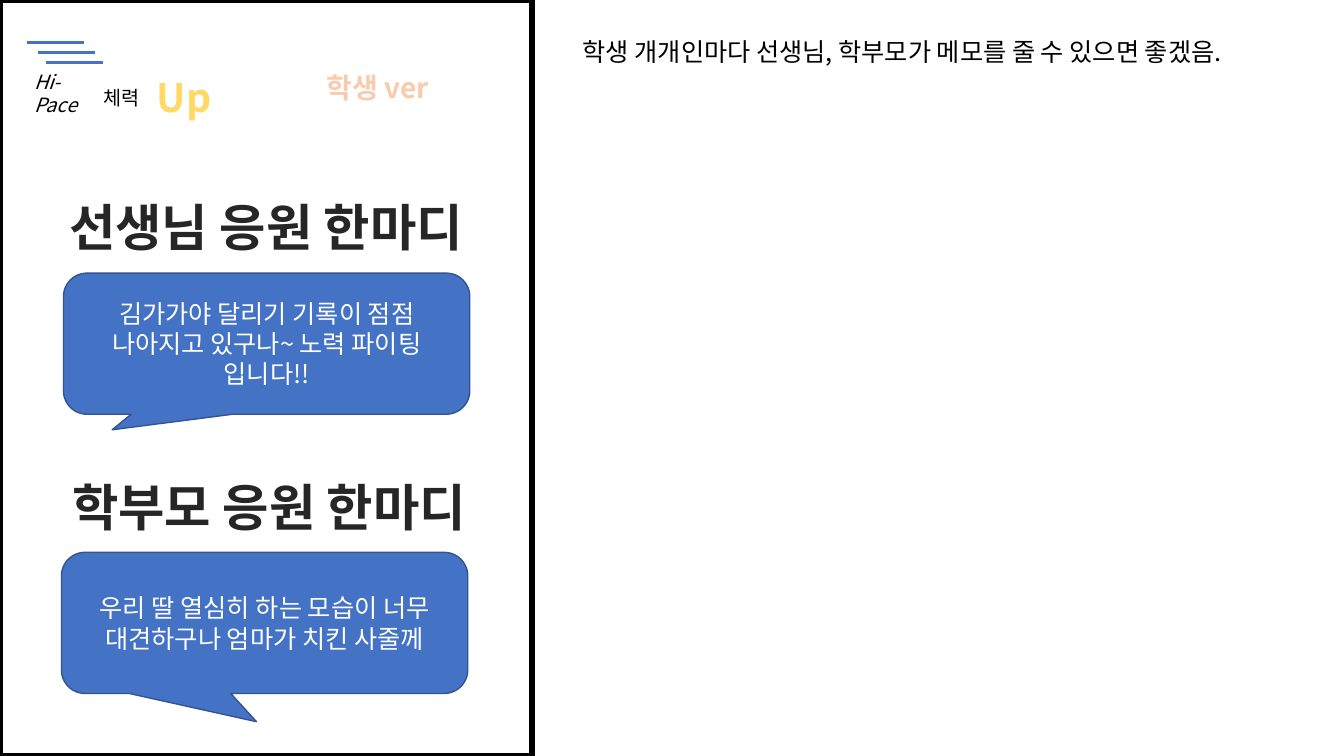
import lxml.etree
import pptx
import pptx.dml.color
import pptx.enum.shapes
import pptx.enum.text
import pptx.oxml.ns
import pptx.util

Inches = pptx.util.Inches
Pt = pptx.util.Pt
RGBColor = pptx.dml.color.RGBColor
Align = pptx.enum.text.PP_ALIGN
Shape = pptx.enum.shapes.MSO_SHAPE
qn = pptx.oxml.ns.qn

WHITE = RGBColor(0xFF, 0xFF, 0xFF)
BLACK = RGBColor(0, 0, 0)
CHARCOAL = RGBColor(0x26, 0x26, 0x26)
BLUE = RGBColor(0x44, 0x72, 0xC4)
NAVY = RGBColor(0x32, 0x54, 0x91)
PEACH = RGBColor(0xF8, 0xCB, 0xAD)
GOLD = RGBColor(0xFF, 0xD9, 0x66)


class Painter:
    """Draws styled elements on the current slide."""

    font_name = "Noto Sans CJK KR"

    def __init__(self, page):
        self.page = page

    def fill_text(self, frame, words, size, color, align=Align.CENTER, bold=False, italic=False):
        para = frame.paragraphs[0]
        para.text = words
        para.alignment = align
        font = para.font
        font.size = Pt(size)
        font.bold = bold
        font.italic = italic
        font.color.rgb = color
        font.name = self.font_name
        properties = para._p.pPr.find(qn("a:defRPr"))
        lxml.etree.SubElement(properties, qn("a:ea")).set("typeface", self.font_name)

    def text(self, words, left, top, width, height, size, color=BLACK, wrap=True, **style):
        box = self.page.shapes.add_textbox(Inches(left), Inches(top), Inches(width), Inches(height))
        box.text_frame.word_wrap = wrap
        self.fill_text(box.text_frame, words, size, color, **style)

    def shape(self, kind, left, top, width, height, fill, line, weight):
        shape = self.page.shapes.add_shape(
            kind, Inches(left), Inches(top), Inches(width), Inches(height))
        shape.shadow.inherit = False
        shape.fill.solid()
        shape.fill.fore_color.rgb = fill
        shape.line.color.rgb = line
        shape.line.width = Pt(weight)
        return shape

    def bubble(self, words, left, top, tail):
        bubble = self.shape(Shape.ROUNDED_RECTANGULAR_CALLOUT, left, top, 4.03, 1.4, BLUE, NAVY, 1)
        bubble.adjustments[0], bubble.adjustments[1] = tail
        bubble.text_frame.vertical_anchor = pptx.enum.text.MSO_ANCHOR.MIDDLE
        bubble.text_frame.word_wrap = True
        self.fill_text(bubble.text_frame, words, 18, WHITE)

    def heading(self, words, left, top):
        self.text(words, left, top, 4.6, 0.71, 36, CHARCOAL, wrap=False, bold=True)

    def stripe(self, left, top):
        stripe = self.page.shapes.add_connector(
            pptx.enum.shapes.MSO_CONNECTOR.STRAIGHT,
            Inches(left), Inches(top), Inches(left + 0.56), Inches(top))
        stripe.line.color.rgb = BLUE
        stripe.line.width = Pt(2)
        lxml.etree.SubElement(stripe._element.spPr, qn("a:effectLst"))


deck = pptx.Presentation()
deck.slide_width = Inches(13.33)
deck.slide_height = Inches(7.5)
painter = Painter(deck.slides.add_slide(deck.slide_layouts[6]))

painter.shape(Shape.RECTANGLE, 0, 0, 5.28, 7.5, WHITE, BLACK, 4.5)
painter.text("학생 ver", 2.89, 0.65, 1.71, 0.44, 20, PEACH, bold=True)
painter.text("학생 개개인마다 선생님, 학부모가 메모를 줄 수 있으면 좋겠음.",
             5.68, 0.31, 6.88, 0.71, 18, align=Align.LEFT)

painter.heading("선생님 응원 한마디", 0.34, 1.9)
painter.bubble("김가가야 달리기 기록이 점점 나아지고 있구나~ 노력 파이팅 입니다!!",
               0.63, 2.71, (-0.38, 0.61))
painter.heading("학부모 응원 한마디", 0.37, 4.67)
painter.bubble("우리 딸 열심히 하는 모습이 너무 대견하구나 엄마가 치킨 사줄께",
               0.61, 5.48, (-0.02, 0.7))

painter.text("체력", 0.91, 0.8, 0.59, 0.34, 14, wrap=False)
painter.text("Up", 1.45, 0.68, 0.75, 0.57, 28, GOLD, bold=True)
painter.text("Hi-Pace", 0.24, 0.64, 0.87, 0.34, 14, align=Align.LEFT, italic=True)
for row, left in enumerate((0.27, 0.38, 0.46)):
    painter.stripe(left, 0.42 + 0.1 * row)

deck.save("out.pptx")
